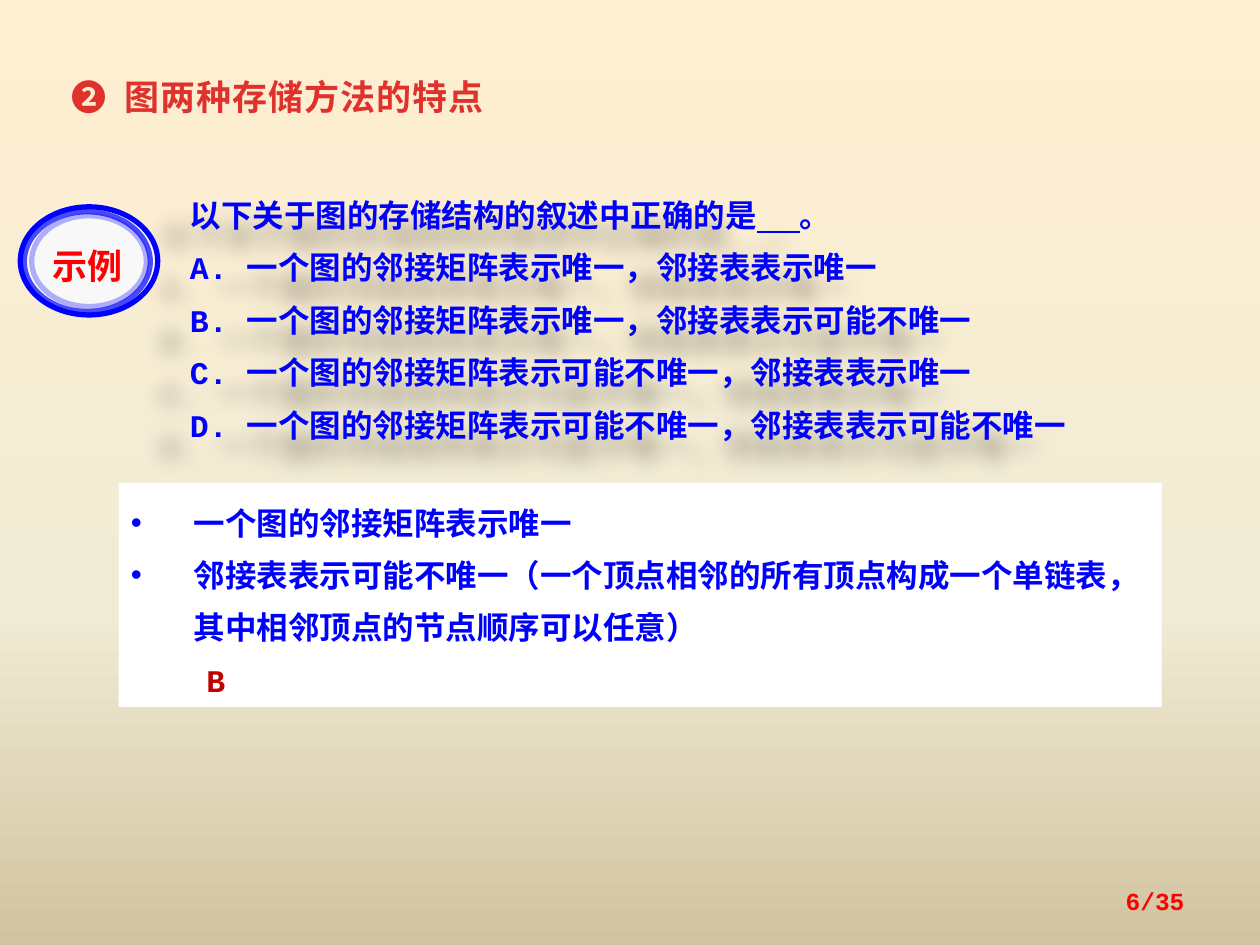
from lxml.etree import SubElement as Sub
from pptx import Presentation
from pptx.dml.color import RGBColor as RGB
from pptx.enum.shapes import MSO_SHAPE as Shape
from pptx.enum.text import MSO_ANCHOR as Anchor, MSO_AUTO_SIZE as Auto, PP_ALIGN as Align
from pptx.oxml.ns import qn
from pptx.util import Cm, Pt

BLUE = RGB(0x00, 0x00, 0xFF)
RED = RGB(0xFF, 0x00, 0x00)
BRICK = RGB(0xE0, 0x32, 0x2D)
DARK = RGB(0xC0, 0x00, 0x00)
WHITE = RGB(0xFF, 0xFF, 0xFF)
PALE = RGB(0xF8, 0xF8, 0xF8)
SKY = [(0, RGB(0xFF, 0xEF, 0xD1)), (65, RGB(0xF0, 0xEB, 0xD5)), (100, RGB(0xD1, 0xC3, 0x9F))]
MONO, HAN, KANJI = "Courier New", "Noto Sans CJK SC", "Noto Sans CJK JP"


def style(para, size, color, face=MONO, east=HAN):
    for run in para.runs:
        font = run.font
        font.size, font.bold, font.name = Pt(size), True, face
        font.color.rgb = color
        Sub(run._r.get_or_add_rPr(), qn("a:ea"), typeface=east)


def indent(para, left, first=0):
    props = para._p.get_or_add_pPr()
    props.set("marL", str(Cm(left)))
    props.set("indent", str(Cm(first)))
    return props


def fill_lines(frame, lines):
    frame.word_wrap = True
    frame.auto_size = Auto.SHAPE_TO_FIT_TEXT
    frame.text = "\n".join(lines)
    for para in frame.paragraphs:
        para.line_spacing = Pt(30)
    return frame.paragraphs


def text_box(parts, x, y, w, h):
    return parts.add_textbox(Cm(x), Cm(y), Cm(w), Cm(h))


def backdrop(slide):
    fill = slide.background.fill
    fill.gradient()
    fill.gradient_angle = 270
    stops = fill._fill._gradFill.find(qn("a:gsLst"))
    for old in list(stops):
        stops.remove(old)
    for spot, color in SKY:
        stop = Sub(stops, qn("a:gs"), pos=str(spot * 1000))
        Sub(stop, qn("a:srgbClr"), val=str(color))


def title(slide, x, y, w, h):
    box = text_box(slide.shapes, x, y, w, h)
    para = fill_lines(box.text_frame, ["❷\t图两种存储方法的特点"])[0]
    indent(para, 1.07, -1.07)
    style(para, 20, BRICK, HAN)
    for run in para.runs:
        run._r.rPr.set("spc", "50")


def question(slide, x, y, w, h):
    box = text_box(slide.shapes, x, y, w, h)
    # Soft shadow that falls to the lower left
    glow = Sub(box._element.spPr, qn("a:effectLst"))
    cast = Sub(glow, qn("a:outerShdw"), blurRad=str(Pt(12)), dist=str(Pt(20)),
               dir="8600000", algn="tr", rotWithShape="0")
    tint = Sub(cast, qn("a:srgbClr"), val="000000")
    Sub(tint, qn("a:alpha"), val="30000")
    paras = fill_lines(box.text_frame, [
        "以下关于图的存储结构的叙述中正确的是",
        "A. 一个图的邻接矩阵表示唯一，邻接表表示唯一",
        "B. 一个图的邻接矩阵表示唯一，邻接表表示可能不唯一",
        "C. 一个图的邻接矩阵表示可能不唯一，邻接表表示唯一",
        "D. 一个图的邻接矩阵表示可能不唯一，邻接表表示可能不唯一",
    ])
    # Underlined blank to fill in
    blank = paras[0].add_run()
    blank.text = " " * 6
    blank.font.underline = True
    paras[0].add_run().text = "。"
    for para in paras:
        style(para, 18, BLUE)


def answer(slide, x, y, w, h):
    box = slide.shapes.add_shape(Shape.RECTANGLE, Cm(x), Cm(y), Cm(w), Cm(h))
    box.shadow.inherit = False
    box.fill.solid()
    box.fill.fore_color.rgb = WHITE
    box.line.fill.background()
    box.text_frame.vertical_anchor = Anchor.TOP
    *points, key = fill_lines(box.text_frame, [
        "一个图的邻接矩阵表示唯一",
        "邻接表表示可能不唯一（一个顶点相邻的所有顶点构成一个单链表，其中相邻顶点的节点顺序可以任意）",
        "B",
    ])
    for para in points:
        props = indent(para, 1.27, -1.27)
        Sub(props, qn("a:buFont"), typeface="Arial")
        Sub(props, qn("a:buChar"), char="•")
        style(para, 18, BLUE)
    indent(key, 1.52)
    style(key, 18, DARK)
    for para in [*points, key]:
        para.alignment = Align.LEFT


def badge(slide, x, y, w, h):
    parts = slide.shapes.add_group_shape().shapes
    # Three rings: left, top, width, height, opacity
    rings = [(0, 0, w, h, 100), (0.08, 0.1, 2.54, 2.01, 70), (0.23, 0.18, 2.31, 1.83, 30)]
    for dx, dy, rw, rh, alpha in rings:
        ring = parts.add_shape(Shape.OVAL, Cm(x + dx), Cm(y + dy), Cm(rw), Cm(rh))
        ring.shadow.inherit = False
        ring.line.color.rgb = BLUE
        ring.line.width = Pt(3)
        if alpha == 100:
            ring.fill.solid()
            ring.fill.fore_color.rgb = PALE
        else:
            ring.fill.background()
            tint = ring.line._ln.find(".//" + qn("a:srgbClr"))
            Sub(tint, qn("a:alpha"), val=str(alpha * 1000))
    # Label
    box = text_box(parts, x + 0.13, y + 0.56, 2.44, 1)
    para = fill_lines(box.text_frame, ["示例"])[0]
    para.line_spacing = 1.1
    para.alignment = Align.CENTER
    style(para, 20, RED, KANJI, KANJI)


def page_mark(slide, x, y, w, h):
    frame = text_box(slide.shapes, x, y, w, h).text_frame
    frame.word_wrap = True
    frame.vertical_anchor = Anchor.MIDDLE
    frame.text = "6/35"
    para = frame.paragraphs[0]
    para.alignment = Align.RIGHT
    style(para, 14, RED)


def main():
    deck = Presentation()
    deck.slide_width, deck.slide_height = Cm(25.4), Cm(19.05)
    slide = deck.slides.add_slide(deck.slide_layouts[6])
    backdrop(slide)
    title(slide, 1.19, 1.19, 12.12, 1.22)
    question(slide, 3.58, 3.53, 21.03, 5.59)
    answer(slide, 2.39, 9.73, 21.03, 4.52)
    badge(slide, 0.41, 4.17, 2.77, 2.18)
    page_mark(slide, 18.21, 17.65, 5.92, 1.02)
    deck.save("out.pptx")


if __name__ == "__main__":
    main()
